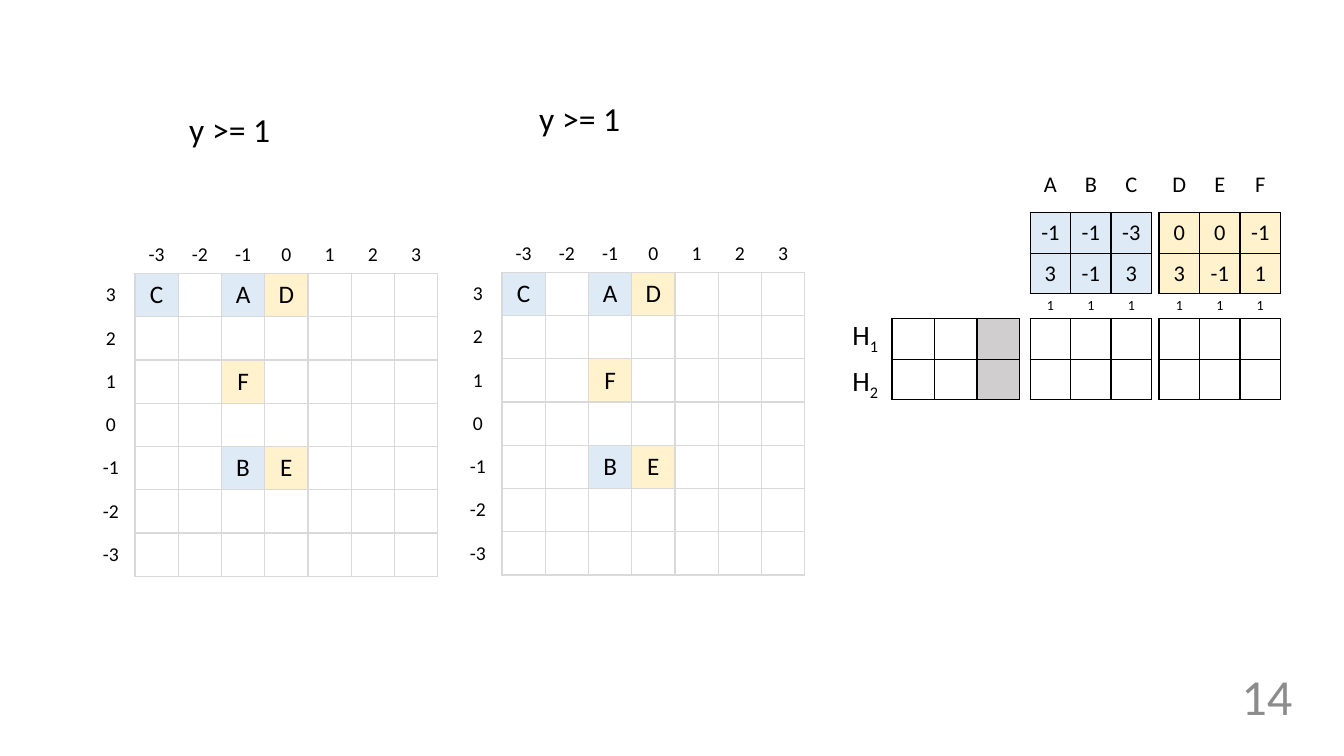
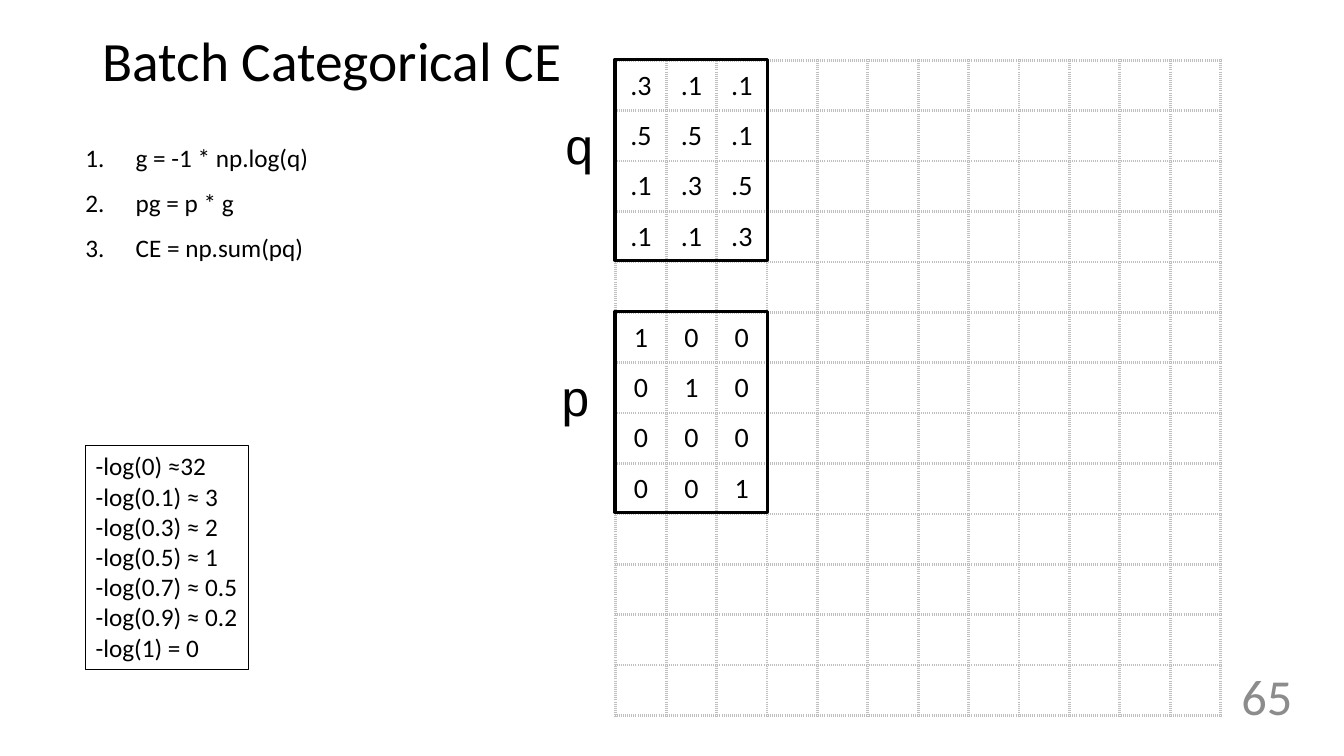
import dataclasses

import lxml.etree
import pptx
import pptx.dml.color
import pptx.enum.shapes
import pptx.enum.text
import pptx.oxml.ns
import pptx.util

Cm = pptx.util.Cm
Pt = pptx.util.Pt
ALIGN = pptx.enum.text.PP_ALIGN
ANCHOR = pptx.enum.text.MSO_ANCHOR


@dataclasses.dataclass(frozen=True)
class Theme:
    font: str = "Calibri"
    symbol_font: str = "Courier New"
    ink: str = "000000"
    page_gray: str = "8C8C8C"
    axis_gray: str = "D9D9D9"
    dot_gray: str = "BFBFBF"
    bias_gray: str = "D0CECE"
    blue: str = "DEEBF7"
    yellow: str = "FFF2CC"
    title_size: float = 39.6
    large_size: float = 36
    rule_size: float = 24
    matrix_size: float = 20
    body_size: float = 18
    input_size: float = 16
    axis_size: float = 14
    bias_size: float = 10


@dataclasses.dataclass(frozen=True)
class Border:
    color: str
    width: float = 1
    dash: str = "solid"


THEME = Theme()
AXIS_BORDER = Border(THEME.axis_gray)
MATRIX_BORDER = Border(THEME.ink)
DOTTED_BORDER = Border(THEME.dot_gray, 2.25, "sysDot")
POINTS = {"A": (-1, 3), "B": (-1, -1), "C": (-3, 3), "D": (0, 3), "E": (0, -1), "F": (-1, 1)}
CLASSES = {"ABC": THEME.blue, "DEF": THEME.yellow}
POINT_FILLS = {name: fill for names, fill in CLASSES.items() for name in names}
Q_VALUES = [[".3", ".1", ".1"], [".5", ".5", ".1"], [".1", ".3", ".5"], [".1", ".1", ".3"]]
P_VALUES = [["1", "0", "0"], ["0", "1", "0"], ["0", "0", "0"], ["0", "0", "1"]]
STEPS = ["g = -1 * np.log(q)", "pg = p * g", "CE = np.sum(pq)"]
LOGARITHMS = [
    "-log(0) ≈32",
    "-log(0.1) ≈ 3",
    "-log(0.3) ≈ 2",
    "-log(0.5) ≈ 1",
    "-log(0.7) ≈ 0.5",
    "-log(0.9) ≈ 0.2",
    "-log(1) = 0",
]


def apply_format(target, values):
    for name, value in values.items():
        setattr(target, name, value)


def rgb(color):
    return pptx.dml.color.RGBColor.from_string(color)


def add_run(paragraph, text, size, color=THEME.ink, font=THEME.font):
    run = paragraph.add_run()
    run.text = text
    apply_format(run.font, {"name": font, "size": Pt(size)})
    run.font.color.rgb = rgb(color)
    return run


def write_lines(text_frame, lines, size, paragraph_format=None, numbered=False, **run_format):
    for index, line in enumerate(lines):
        paragraph = text_frame.paragraphs[0] if index == 0 else text_frame.add_paragraph()
        if numbered:
            number_paragraph(paragraph)
        apply_format(paragraph, paragraph_format or {})
        add_run(paragraph, line, size, **run_format)


def number_paragraph(paragraph):
    properties = paragraph._p.get_or_add_pPr()
    properties.set("marL", str(Cm(1.27)))
    properties.set("indent", str(-Cm(1.27)))
    number = lxml.etree.SubElement(properties, pptx.oxml.ns.qn("a:buAutoNum"))
    number.set("type", "arabicPeriod")


def add_text(slide, box, lines, size, frame_format=None, **text_format):
    shape = slide.shapes.add_textbox(*map(Cm, box))
    apply_format(shape.text_frame, {"word_wrap": True, **(frame_format or {})})
    write_lines(shape.text_frame, lines, size, **text_format)
    return shape


def draw_borders(cell, border):
    properties = cell._tc.get_or_add_tcPr()
    for position, side in enumerate(("lnL", "lnR", "lnT", "lnB")):
        line = lxml.etree.Element(pptx.oxml.ns.qn("a:" + side))
        properties.insert(position, line)
        if border is None:
            lxml.etree.SubElement(line, pptx.oxml.ns.qn("a:noFill"))
            continue
        line.set("w", str(Pt(border.width)))
        fill = lxml.etree.SubElement(line, pptx.oxml.ns.qn("a:solidFill"))
        lxml.etree.SubElement(fill, pptx.oxml.ns.qn("a:srgbClr")).set("val", border.color)
        lxml.etree.SubElement(line, pptx.oxml.ns.qn("a:prstDash")).set("val", border.dash)


def fill_cell(cell, text, size, border, fill):
    apply_format(cell, {
        "margin_left": 0,
        "margin_right": 0,
        "margin_top": Cm(0.1),
        "margin_bottom": Cm(0.1),
        "vertical_anchor": ANCHOR.MIDDLE,
    })
    if fill:
        cell.fill.solid()
        cell.fill.fore_color.rgb = rgb(fill)
    else:
        cell.fill.background()
    draw_borders(cell, border)
    if text:
        paragraph = cell.text_frame.paragraphs[0]
        paragraph.alignment = ALIGN.CENTER
        base, _, subscript = text.partition("_")
        add_run(paragraph, base, size)
        if subscript:
            run = add_run(paragraph, subscript, size)
            run._r.get_or_add_rPr().set("baseline", "-25000")


def add_grid(slide, corner, cell_size, rows, size=THEME.body_size, border=None,
             fill_for=lambda text, column: None):
    width, height = cell_size
    box = (*corner, width * len(rows[0]), height * len(rows))
    table = slide.shapes.add_table(len(rows), len(rows[0]), *map(Cm, box)).table
    apply_format(table, {"first_row": False, "horz_banding": False})
    for column in table.columns:
        column.width = Cm(width)
    for row_index, texts in enumerate(rows):
        table.rows[row_index].height = Cm(height)
        for column_index, text in enumerate(texts):
            fill = fill_for(text, column_index)
            fill_cell(table.cell(row_index, column_index), text, size, border, fill)


def empty_rows(row_count, column_count):
    return [[""] * column_count for _ in range(row_count)]


def add_page_number(slide, number):
    add_text(slide, (29.64, 16.43, 3.18, 2.18), [number], THEME.large_size,
             {"vertical_anchor": ANCHOR.MIDDLE}, paragraph_format={"alignment": ALIGN.RIGHT},
             color=THEME.page_gray)


def add_point_plot(slide, left, top):
    cell = 1.09
    ticks = range(-3, 4)
    rows = empty_rows(len(ticks), len(ticks))
    for name, (x, y) in POINTS.items():
        rows[ticks[-1] - y][x - ticks[0]] = name
    add_grid(slide, (left, top), (cell, cell), rows, border=AXIS_BORDER,
             fill_for=lambda text, column: POINT_FILLS.get(text))
    add_grid(slide, (left, top - 0.89), (cell, 0.84), [[str(tick) for tick in ticks]],
             THEME.axis_size)
    add_grid(slide, (left - 1.06, top), (0.91, cell), [[str(tick)] for tick in reversed(ticks)],
             THEME.axis_size)


def add_class_matrix(slide, left, top, names, fill):
    cell = 1.02
    add_grid(slide, (left, top + 1.14), (cell, cell),
             [[str(POINTS[name][axis]) for name in names] for axis in (0, 1)],
             THEME.input_size, MATRIX_BORDER, lambda text, column: fill)
    add_grid(slide, (left, top + 3.81), (cell, cell), empty_rows(2, 3), border=MATRIX_BORDER)
    add_grid(slide, (left, top + 3.07), (cell, 0.81), [["1"] * 3], THEME.bias_size)
    add_grid(slide, (left, top), (cell, 0.89), [list(names)], THEME.input_size)


def add_weight_matrix(slide, left, top):
    add_grid(slide, (left, top), (1.55, 1.07), [["H_1"], ["H_2"]], THEME.matrix_size)
    add_grid(slide, (left + 1.45, top + 0.11), (1.07, 1.02), empty_rows(2, 3),
             border=MATRIX_BORDER,
             fill_for=lambda text, column: THEME.bias_gray if column == 2 else None)


def add_outline(slide, box):
    shape = slide.shapes.add_shape(pptx.enum.shapes.MSO_SHAPE.RECTANGLE, *map(Cm, box))
    shape.shadow.inherit = False
    shape.fill.background()
    shape.line.color.rgb = rgb(THEME.ink)
    shape.line.width = Pt(2.25)


def add_batch_matrices(slide, left, top):
    cell = 1.27
    rows = empty_rows(13, 12)
    first_rows = {"q": 0, "p": 5}
    for name, values in (("q", Q_VALUES), ("p", P_VALUES)):
        for offset, row in enumerate(values):
            rows[first_rows[name] + offset][:len(row)] = row
    add_grid(slide, (left, top), (cell, cell), rows, THEME.matrix_size, DOTTED_BORDER)
    for name, label_left in (("q", left - 1.55), ("p", left - 1.65)):
        matrix_top = top + first_rows[name] * cell
        add_outline(slide, (left - 0.02, matrix_top - 0.02, 3 * cell + 0.03, 4 * cell - 0.02))
        add_text(slide, (label_left, matrix_top + 1.23, 1.22, 1.8), [name], THEME.large_size,
                 {"word_wrap": False}, font=THEME.symbol_font)


def add_logarithm_box(slide, box):
    shape = add_text(slide, box, LOGARITHMS, THEME.body_size, {"word_wrap": False})
    shape.line.color.rgb = rgb(THEME.ink)
    shape.line.width = Pt(0.75)


def build_perceptron_slide(slide):
    add_page_number(slide, "14")
    for left, top in ((3.4, 6.89), (12.65, 6.86)):
        add_point_plot(slide, left, top)
    add_weight_matrix(slide, 21.03, 7.92)
    for index, (names, fill) in enumerate(CLASSES.items()):
        add_class_matrix(slide, 25.96 + index * 3.25, 4.22, names, fill)
    for left, top in ((4.52, 2.62), (13.34, 2.34)):
        add_text(slide, (left, top, 2.54, 1.27), ["y >= 1"], THEME.rule_size,
                 {"word_wrap": False})


def build_cross_entropy_slide(slide):
    add_text(slide, (2.34, 1.02, 29.21, 1.17), ["Batch Categorical CE"], THEME.title_size,
             {"vertical_anchor": ANCHOR.MIDDLE}, paragraph_format={"line_spacing": 0.9})
    add_page_number(slide, "65")
    add_batch_matrices(slide, 15.52, 1.52)
    add_text(slide, (1.9, 3.07, 11.48, 3.61), STEPS, THEME.body_size,
             paragraph_format={"line_spacing": 1.5}, numbered=True)
    add_logarithm_box(slide, (2.16, 11.23, 4.11, 5.64))


def main():
    presentation = pptx.Presentation()
    apply_format(presentation, {"slide_width": Cm(33.87), "slide_height": Cm(19.05)})
    blank_layout = presentation.slide_layouts[6]
    for build in (build_perceptron_slide, build_cross_entropy_slide):
        build(presentation.slides.add_slide(blank_layout))
    presentation.save("out.pptx")


if __name__ == "__main__":
    main()
